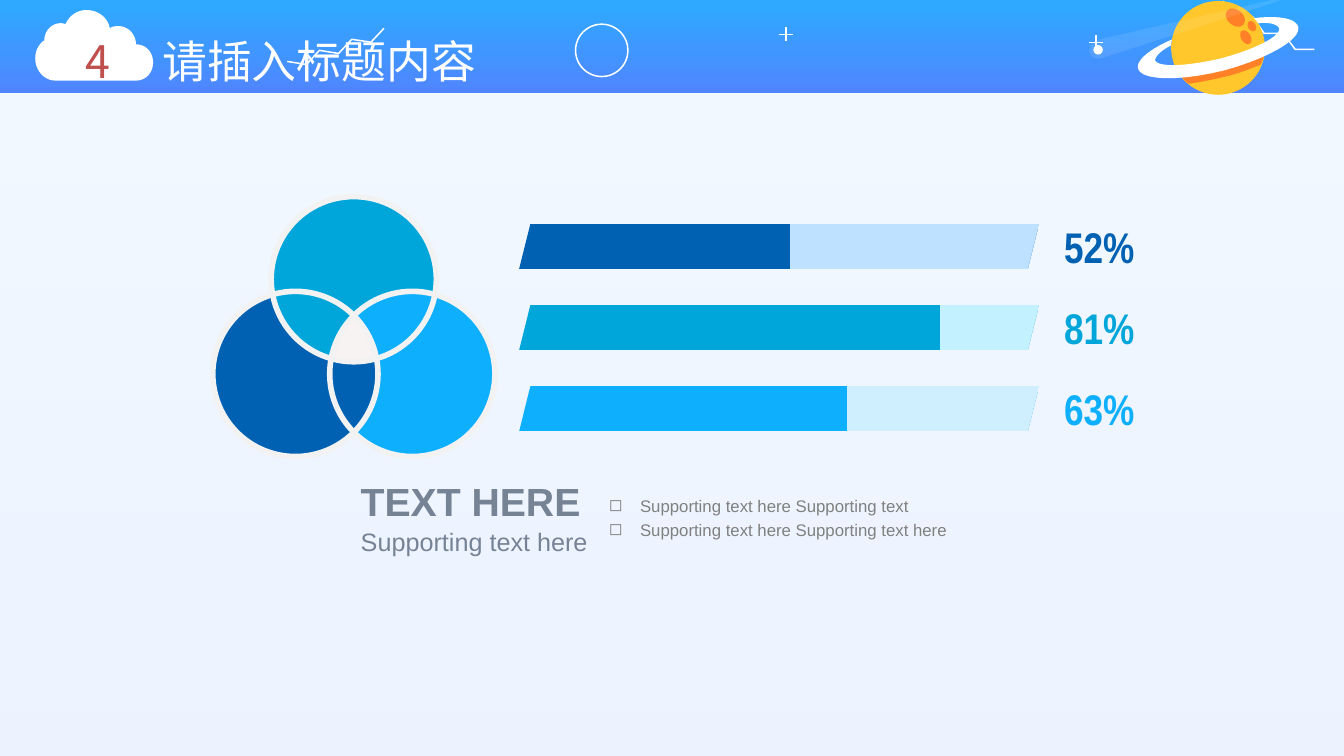
from dataclasses import dataclass
from math import atan2, cos, hypot, radians, sin

from lxml.etree import SubElement
from pptx import Presentation
from pptx.dml.color import RGBColor
from pptx.enum.shapes import MSO_CONNECTOR as Connector, MSO_SHAPE as Preset
from pptx.enum.text import MSO_ANCHOR as Anchor, PP_ALIGN as Align
from pptx.oxml.ns import qn
from pptx.util import Pt


@dataclass(frozen=True)
class Theme:
    white: str = "FFFFFF"
    wash: tuple = ((0, "81CBFF"), (100, "4F86FF"))
    header: tuple = ((0, "2DAAFF"), (100, "4F86FF"))
    planet: str = "FFC72B"
    crater: str = "FF8026"
    blue: tuple = ("0061B3", "BDE1FF")
    teal: tuple = ("00A6D9", "C4F1FF")
    sky: tuple = ("0EAFFD", "CFEFFF")
    venn_ring: str = "F2F2F2"
    venn_core: str = "F8F3F3"
    number: str = "C0504D"
    heading: str = "768395"
    body: str = "808080"
    font: str = "Arial"
    title_font: str = "Noto Sans CJK SC"
    share_font: str = "Arial Narrow"
    title_size: float = 32
    share_size: float = 30.6
    heading_size: float = 28
    subheading_size: float = 18
    body_size: float = 12
    hairline: float = 1.08


THEME = Theme()

# Outlines in points: a pair is a corner, six numbers are a Bézier segment.
CLOUD = [(61.9, 7.2), (69.8, 7.2, 77, 12.2, 78.5, 20.2), (80.6, 18.7, 82.8, 18.7, 85, 18.7),
         (91.4, 18.7, 97.2, 24.5, 97.2, 31.7), (104.4, 31.7, 109.4, 37.4, 109.4, 44.6),
         (109.4, 51.8, 104.4, 57.6, 97.2, 57.6), (39.6, 57.6), (31.7, 57.6, 25.2, 50.4, 25.2, 41.8),
         (25.2, 36.7, 27.4, 31.7, 31.7, 28.8), (31.7, 22.3, 36.7, 16.6, 43.2, 16.6),
         (43.9, 16.6, 45.4, 16.6, 46.8, 17.3), (49.7, 10.8, 55.4, 7.2, 61.9, 7.2)]
PLANET_BAND = [(900.7, 46.1), (902.2, 42.5, 902.9, 39.6, 903.6, 35.3),
               (896.4, 39.6, 885.6, 43.2, 873.4, 46.1), (861.1, 49, 850.3, 51.1, 841.7, 51.1),
               (843.8, 54.7, 846, 57.6, 848.9, 59.8), (856.8, 59, 866.2, 56.9, 875.5, 54.7),
               (884.9, 52.6, 893.5, 49, 900.7, 46.1)]
PLANET_RING = [(895.7, 13), (896.4, 13.7, 897.8, 15.1, 898.6, 16.6),
               (907.2, 15.8, 912.2, 17.3, 913.7, 20.2), (915.1, 25.9, 896.4, 35.3, 871.9, 41.8),
               (847.4, 47.5, 827.3, 48.2, 825.1, 43.2), (825.1, 40.3, 829.4, 36, 836.6, 32.4),
               (836.6, 31, 836.6, 29.5, 837.4, 28.1), (820.8, 35.3, 811.4, 43.2, 812.9, 49),
               (815, 57.6, 842.4, 58.3, 874.1, 50.4), (905.8, 41.8, 929.5, 28.1, 927.4, 19.4),
               (925.9, 13, 913, 10.8, 895.7, 13)]
COMET_TAIL = [(915.8, 0), (786.2, 41.8), (782.6, 42.5, 779, 40.3, 778.3, 37.4),
              (777.6, 33.8, 779, 30.2, 782.6, 28.8), (908.5, 0)]
ZIGZAGS = [[(205.2, 43.9), (218.9, 46.1), (228.2, 36), (241.9, 38.2), (251.3, 28.1), (265, 30.2), (274.3, 20.2)],
           [(873.4, 0.7), (881.3, 12.2), (895, 12.2), (902.9, 23.8), (916.6, 23.8), (925.2, 35.3), (938.9, 35.3)]]


def paint(shape, fill=None, line=None, weight=THEME.hairline, alpha=100):
    shape.shadow.inherit = False
    shape.fill.background()
    shape.line.fill.background()
    if fill:
        shape.fill.solid()
        shape.fill.fore_color.rgb = RGBColor.from_string(fill)
        color = shape._element.spPr.find(f"{qn('a:solidFill')}/{qn('a:srgbClr')}")
        if alpha < 100:
            SubElement(color, qn("a:alpha"), val=str(alpha * 1000))
    if line:
        shape.line.color.rgb = RGBColor.from_string(line)
        shape.line.width = Pt(weight)


def add_gradient(page, preset, left, top, width, height, stops, angle, alpha=100):
    """Add a preset shape whose gradient has (percent, colour) stops."""
    shape = page.shapes.add_shape(preset, Pt(left), Pt(top), Pt(width), Pt(height))
    paint(shape)
    shape.fill.gradient()
    shape.fill.gradient_angle = angle
    stop_list = shape._element.spPr.find(f"{qn('a:gradFill')}/{qn('a:gsLst')}")
    for old_stop in list(stop_list):
        stop_list.remove(old_stop)
    for percent, color in stops:
        stop = SubElement(stop_list, qn("a:gs"), pos=str(percent * 1000))
        rgb = SubElement(stop, qn("a:srgbClr"), val=color)
        SubElement(rgb, qn("a:alpha"), val=str(alpha * 1000))


def add_oval(page, x, y, width, height, rotation=0, **look):
    """Add an ellipse centred on x, y."""
    oval = page.shapes.add_shape(Preset.OVAL, Pt(x - width / 2), Pt(y - height / 2), Pt(width), Pt(height))
    oval.rotation = rotation
    paint(oval, **look)


def flatten(outline, steps=10):
    """Turn corners and Bézier segments into a list of points."""
    points = [outline[0]]
    for segment in outline[1:]:
        if len(segment) == 2:
            points.append(segment)
            continue
        knots = [points[-1], segment[:2], segment[2:4], segment[4:]]
        for t in (step / steps for step in range(1, steps + 1)):
            weights = ((1 - t) ** 3, 3 * t * (1 - t) ** 2, 3 * t * t * (1 - t), t ** 3)
            points.append(tuple(sum(w * knot[axis] for w, knot in zip(weights, knots)) for axis in (0, 1)))
    return points


def add_outline(page, outline, close=True, **look):
    points = [(Pt(x), Pt(y)) for x, y in flatten(outline)]
    builder = page.shapes.build_freeform(*points[0])
    builder.add_line_segments(points[1:], close=close)
    paint(builder.convert_to_shape(), **look)


def add_line(page, *ends):
    line = page.shapes.add_connector(Connector.STRAIGHT, *map(Pt, ends))
    line.line.color.rgb = RGBColor.from_string(THEME.white)
    line.line.width = Pt(THEME.hairline)
    SubElement(line._element.spPr, qn("a:effectLst"))


def add_text(page, paras, left, top, width, height, *, size, font=THEME.font, bold=False, align=Align.LEFT,
             anchor=Anchor.TOP, inset=(7.2, 3.6), wrap=True, spacing=None, bullet=None, tab=None):
    """Add a text box; each paragraph is a list of (text, colour) spans."""
    frame = page.shapes.add_textbox(Pt(left), Pt(top), Pt(width), Pt(height)).text_frame
    frame.word_wrap, frame.vertical_anchor = wrap, anchor
    frame.margin_left = frame.margin_right = Pt(inset[0])
    frame.margin_top = frame.margin_bottom = Pt(inset[1])
    for index, spans in enumerate(paras):
        para = frame.add_paragraph() if index else frame.paragraphs[0]
        para.alignment, para.line_spacing = align, spacing
        properties = para._p.get_or_add_pPr()
        if bullet:
            properties.set("marL", str(Pt(22.3)))
            properties.set("indent", str(-Pt(22.3)))
            SubElement(properties, qn("a:buChar"), char=bullet)
        if tab:
            SubElement(SubElement(properties, qn("a:tabLst")), qn("a:tab"), pos=str(Pt(tab)), algn="l")
        for text, color in spans:
            span = para.add_run()
            span.text = text
            span.font.name, span.font.size, span.font.bold = font, Pt(size), bold
            span.font.color.rgb = RGBColor.from_string(color)
            SubElement(span._r.get_or_add_rPr(), qn("a:ea"), typeface=font)


def overlap(centres, radius):
    """Return the outline of the area shared by the discs around all centres."""
    rims = [(x + radius * cos(radians(a)), y + radius * sin(radians(a))) for x, y in centres for a in range(360)]
    shared = [(x, y) for x, y in rims if all(hypot(x - cx, y - cy) < radius + 0.01 for cx, cy in centres)]
    mid_x, mid_y = (sum(axis) / len(shared) for axis in zip(*shared))
    return sorted(shared, key=lambda point: atan2(point[1] - mid_y, point[0] - mid_x))


def add_header(page):
    add_gradient(page, Preset.RECTANGLE, 0, 0, 960, 540, THEME.wash, 270, alpha=10)
    add_gradient(page, Preset.RECTANGLE, 0, 0, 960, 66.2, THEME.header, 270)
    for zigzag in ZIGZAGS:
        add_outline(page, zigzag, close=False, line=THEME.white)
    add_oval(page, 429.8, 36, 37.4, 37.4, line=THEME.white)
    for x, y in [(783, 30.2), (561.6, 24.5)]:
        add_line(page, x - 4.9, y, x + 4.9, y)
        add_line(page, x, y - 4.9, x, y + 4.9)
    add_oval(page, 870.1, 34.2, 67, 67, fill=THEME.planet)
    add_outline(page, PLANET_BAND, fill=THEME.crater)
    add_outline(page, PLANET_RING, fill=THEME.white)
    for crater in [(882.4, 12.6, 15.5, 11, 40), (894.2, 18.7, 8, 5.6, 60), (889.9, 26.6, 10.8, 7, 60)]:
        add_oval(page, *crater, fill=THEME.crater)
    add_oval(page, 784.4, 35.6, 6.8, 6.8, fill=THEME.white)
    add_outline(page, COMET_TAIL, fill=THEME.white, alpha=10)


def add_venn(page, size=118):
    top, left, right = circles = [(252.7, 199.4), (211, 267.1), (294.5, 267.1)]
    blue, teal, sky = THEME.blue[0], THEME.teal[0], THEME.sky[0]
    for centre, color in [(left, blue), (right, sky), (top, teal)]:
        add_oval(page, *centre, size, size, fill=color)
    for centres, color in [((top, right), sky), ((left, right), blue), (circles, THEME.venn_core)]:
        add_outline(page, overlap(centres, size / 2), fill=color)
    for centre in circles:
        add_oval(page, *centre, size, size, line=THEME.venn_ring, weight=4)


def add_bars(page):
    for row, (share, (color, pale)) in enumerate([(52, THEME.blue), (81, THEME.teal), (63, THEME.sky)]):
        y = 159.8 + 58 * row
        stops = [(0, color), (share, color), (share, pale), (100, pale)]
        add_gradient(page, Preset.PARALLELOGRAM, 370.8, y, 371.5, 32.4, stops, 0)
        add_text(page, [[(f"{share}%", color)]], 759.6, y, 51.1, 32.4, size=THEME.share_size, bold=True,
                 font=THEME.share_font, align=Align.CENTER, anchor=Anchor.MIDDLE, inset=(0, 0), wrap=False)


def main():
    deck = Presentation()
    deck.slide_width, deck.slide_height = Pt(960), Pt(540)
    page = deck.slides.add_slide(deck.slide_layouts[6])
    add_header(page)
    add_venn(page)
    add_bars(page)
    add_text(page, [[("TEXT HERE", THEME.heading)]], 250.6, 337.7, 187.2, 41, size=THEME.heading_size, bold=True)
    add_text(page, [[("Supporting text here", THEME.heading)]], 250.6, 372.2, 187.2, 28.8, size=THEME.subheading_size)
    points = ["Supporting text here Supporting text", "Supporting text here Supporting text here"]
    add_text(page, [[(point, THEME.body)] for point in points], 434.9, 351.4, 273.6, 41.8,
             size=THEME.body_size, inset=(0, 0), wrap=False, spacing=1.2, bullet="◻")
    add_outline(page, CLOUD, fill=THEME.white)
    add_text(page, [[("4\t", THEME.number), ("请插入标题内容", THEME.white)]], 54, 20.9, 324, 46.1,
             size=THEME.title_size, font=THEME.title_font, tab=54.9)
    deck.save("out.pptx")


if __name__ == "__main__":
    main()
